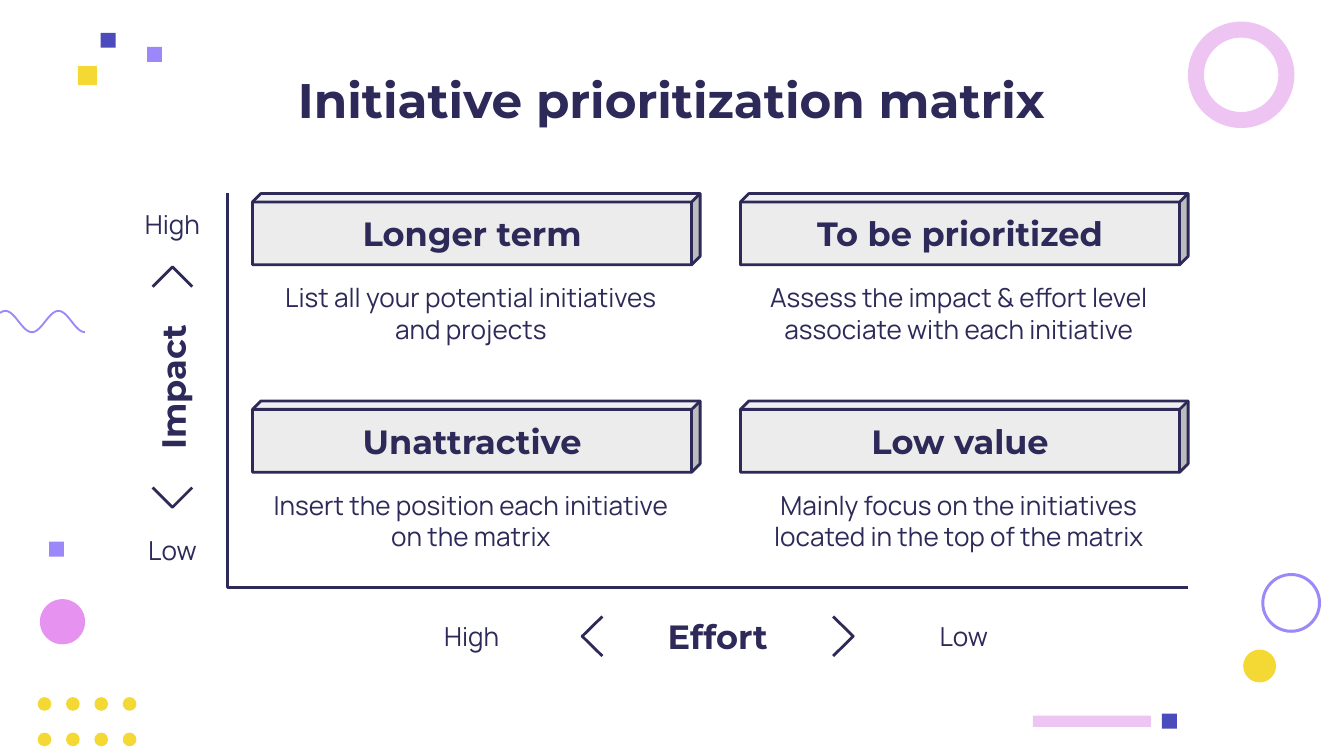
import math
import pptx
import pptx.dml.color
import pptx.enum.shapes
import pptx.enum.text
import pptx.util

Pt = pptx.util.Pt
RGBColor = pptx.dml.color.RGBColor
SHAPE = pptx.enum.shapes.MSO_SHAPE
ALIGN = pptx.enum.text.PP_ALIGN
ANCHOR = pptx.enum.text.MSO_ANCHOR
AUTO_SIZE = pptx.enum.text.MSO_AUTO_SIZE

NAVY = RGBColor(0x2D, 0x29, 0x58)
GREY = RGBColor(0xEC, 0xEC, 0xEC)
YELLOW = RGBColor(0xF4, 0xD8, 0x34)
LILAC = RGBColor(0x9C, 0x88, 0xFA)
INDIGO = RGBColor(0x4B, 0x4B, 0xBB)
PINK = RGBColor(0xED, 0xC4, 0xF2)
ORCHID = RGBColor(0xE5, 0x92, 0xF1)

HEADING = "Montserrat"
BODY = "Manrope"


def write(shape, text, size, font_name, bold=False):
    frame = shape.text_frame
    frame.word_wrap = True
    frame.auto_size = AUTO_SIZE.NONE
    frame.vertical_anchor = ANCHOR.MIDDLE
    frame.margin_left = frame.margin_right = Pt(7.2)
    frame.margin_top = frame.margin_bottom = Pt(7.2)
    frame.text = text
    paragraph = frame.paragraphs[0]
    paragraph.alignment = ALIGN.CENTER
    paragraph.font.name = font_name
    paragraph.font.size = Pt(size)
    paragraph.font.bold = bold
    paragraph.font.color.rgb = NAVY


def add_label(slide, center_x, center_y, width, height, text, size=14,
              font_name=BODY, bold=False):
    label = slide.shapes.add_textbox(Pt(center_x - width / 2), Pt(center_y - height / 2),
                                     Pt(width), Pt(height))
    write(label, text, size, font_name, bold)
    return label


def add_filled(slide, kind, left, top, width, height, color):
    shape = slide.shapes.add_shape(kind, Pt(left), Pt(top), Pt(width), Pt(height))
    shape.shadow.inherit = False
    shape.fill.solid()
    shape.fill.fore_color.rgb = color
    shape.line.fill.background()
    return shape


def add_path(slide, points, color=NAVY, weight=1.5):
    start, *rest = [(Pt(x), Pt(y)) for x, y in points]
    builder = slide.shapes.build_freeform(*start)
    builder.add_line_segments(rest, close=False)
    path = builder.convert_to_shape()
    path.shadow.inherit = False
    path.fill.background()
    path.line.color.rgb = color
    path.line.width = Pt(weight)


def add_dots(slide, left, top, step_x, step_y, diameter):
    for row in range(2):
        for column in range(4):
            add_filled(slide, SHAPE.OVAL, left + column * step_x, top + row * step_y,
                       diameter, diameter, YELLOW)


def add_wave(slide, left, top, width, height):
    crest, wavelength = 2.9, 28.4
    points = []
    for step in range(61):
        x = width * step / 60
        y = height / 2 * (1 - math.cos(2 * math.pi * (x - crest) / wavelength))
        points.append((left + x, top + y))
    add_path(slide, points, LILAC, 1)


def add_decoration(slide):
    add_dots(slide, 20.2, 373.5, 15.2, 19, 7.3)
    add_wave(slide, 0, 166.6, 45.5, 11.4)
    for left, top, diameter, thickness, color in [
        (636.4, 11.6, 57, 0.15, PINK),
        (675.7, 307, 32, 0.05, LILAC),
    ]:
        ring = add_filled(slide, SHAPE.DONUT, left, top, diameter, diameter, color)
        ring.adjustments[0] = thickness
    for left, top, diameter, color in [(21.4, 321, 24.2, ORCHID), (666, 348, 17.6, YELLOW)]:
        add_filled(slide, SHAPE.OVAL, left, top, diameter, diameter, color)
    for left, top, width, height, color in [
        (553.4, 383.4, 63.2, 6, PINK),
        (622.5, 382.4, 8, 8, INDIGO),
        (41.8, 35.4, 10.2, 10.2, YELLOW),
        (78.8, 25.2, 8, 8, LILAC),
        (54, 17.6, 8, 8, INDIGO),
        (26.3, 290.2, 8, 8, LILAC),
    ]:
        add_filled(slide, SHAPE.RECTANGLE, left, top, width, height, color)


def add_title(slide, left, top, width, height):
    title = slide.shapes.title
    title.left, title.top, title.width, title.height = Pt(left), Pt(top), Pt(width), Pt(height)
    write(title, "Initiative prioritization matrix", 26, HEADING, True)


def add_quadrant(slide, left, top, width, height, name, advice):
    cube = add_filled(slide, SHAPE.CUBE, left, top, width, 38.2, GREY)
    cube.adjustments[0] = 0.119
    cube.line.color.rgb = NAVY
    cube.line.width = Pt(1.5)
    write(cube, name, 18, HEADING, True)
    text_top = 41.3
    text_height = height - text_top
    text_width = width - 5.8
    add_label(slide, left + text_width / 2, top + text_top + text_height / 2,
              text_width, text_height, advice)


def add_matrix(slide, left, top, width, height):
    add_path(slide, [(left, top), (left, top + height), (left + width, top + height)])
    quadrants = [
        [("Longer term", "List all your potential initiatives and projects"),
         ("To be prioritized", "Assess the impact & effort level associate with each initiative")],
        [("Unattractive", "Insert the position each initiative on the matrix"),
         ("Low value", "Mainly focus on the initiatives located in the top of the matrix")],
    ]
    cell_width, cell_height = 239.8, 86.7
    column_step, row_step = 261.4, 111.1
    first_left = left + width - cell_width - column_step
    for row, pairs in enumerate(quadrants):
        for column, (name, advice) in enumerate(pairs):
            add_quadrant(slide, first_left + column * column_step, top + row * row_step,
                         cell_width, cell_height, name, advice)


def add_impact_axis(slide, left, top, width, height):
    x, y = left + width / 2, top + height / 2
    name = add_label(slide, x, y, 96.5, 24, "Impact", 18, HEADING, True)
    name.rotation = 270
    for side, level in [(-1, "High"), (1, "Low")]:
        add_label(slide, x, y + side * (height / 2 - 9), width, 18, level)
        tip, base = y + side * 64.4, y + side * 53.8
        add_path(slide, [(x - 10.6, base), (x, tip), (x + 10.6, base)])


def add_effort_axis(slide, left, top, width, height):
    x, y = left + width / 2, top + height / 2
    add_label(slide, x, y, 111, height, "Effort", 18, HEADING, True)
    for side, level in [(-1, "High"), (1, "Low")]:
        add_label(slide, x + side * (width / 2 - 52), y, 104, 18, level)
        tip, base = x + side * 72.6, x + side * 61.8
        add_path(slide, [(base, y - 10.6), (tip, y), (base, y + 10.6)])


def main():
    deck = pptx.Presentation()
    deck.slide_width, deck.slide_height = Pt(720), Pt(405)
    slide = deck.slides.add_slide(deck.slide_layouts[5])
    add_decoration(slide)
    add_title(slide, 60, 30.5, 600, 45.4)
    add_matrix(slide, 121.7, 103.7, 514.8, 210.9)
    add_impact_axis(slide, 63.6, 110.9, 57.6, 193)
    add_effort_axis(slide, 200.7, 328.9, 367.6, 24)
    deck.save("out.pptx")


if __name__ == "__main__":
    main()
